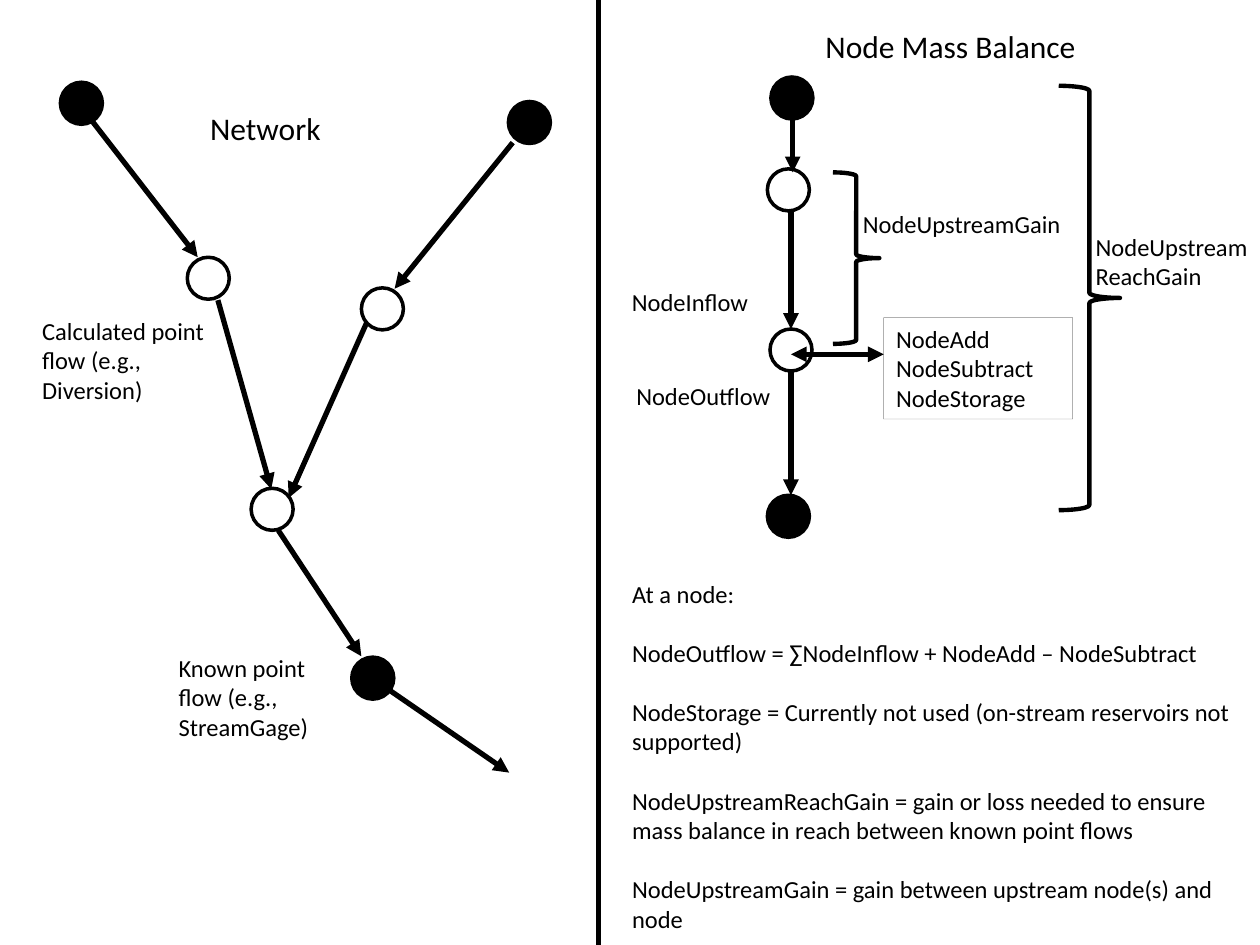
from dataclasses import dataclass

import pptx
import pptx.dml.color
import pptx.enum.shapes
import pptx.enum.text
import pptx.oxml.ns
import pptx.util
from lxml import etree

Pt = pptx.util.Pt
qn = pptx.oxml.ns.qn
MSO_SHAPE = pptx.enum.shapes.MSO_SHAPE


@dataclass(frozen=True)
class Theme:
    ink: pptx.dml.color.RGBColor = pptx.dml.color.RGBColor(0, 0, 0)
    paper: pptx.dml.color.RGBColor = pptx.dml.color.RGBColor(255, 255, 255)
    font: str = "Calibri"
    heading: float = 18
    label: float = 14
    paragraph_gap: float = 17
    node_size: float = 24
    node_line: float = 2
    arrow_line: float = 3
    brace_line: float = 2.5
    divider_line: float = 3.25
    frame_line: float = 0.25


THEME = Theme()


@dataclass(frozen=True)
class Box:
    left: float
    top: float
    width: float
    height: float

    def inner(self, left, top, width, height):
        """Turn a box measured from this box's corner into a page box."""
        return Box(self.left + left, self.top + top, width, height)

    def lengths(self):
        return [Pt(value) for value in (self.left, self.top, self.width, self.height)]


def write(shape, lines, size, gap=0):
    """Fill a shape with plain, left-aligned, unbulleted paragraphs."""
    frame = shape.text_frame
    frame.word_wrap = True
    frame.auto_size = pptx.enum.text.MSO_AUTO_SIZE.NONE
    frame.vertical_anchor = pptx.enum.text.MSO_ANCHOR.TOP
    frame.text = "\n".join(lines)
    for index, para in enumerate(frame.paragraphs):
        para.alignment = pptx.enum.text.PP_ALIGN.LEFT
        para.space_before = Pt(gap if index else 0)
        properties = para._p.get_or_add_pPr()
        properties.set("marL", "0")
        properties.set("indent", "0")
        etree.SubElement(properties, qn("a:buNone"))
        para.font.name = THEME.font
        para.font.size = Pt(size)
        para.font.color.rgb = THEME.ink


def add_label(page, box, lines, size=THEME.label):
    label = page.shapes.add_textbox(*box.lengths())
    write(label, lines, size)
    return label


def fill_placeholder(holder, box, lines, size, gap=0):
    holder.left, holder.top, holder.width, holder.height = box.lengths()
    write(holder, lines, size, gap)


def outline(shape, width):
    shape.line.color.rgb = THEME.ink
    shape.line.width = Pt(width)


def add_node(page, panel, x, y, known):
    """Draw a node centred on x, y; known point flows are solid."""
    size = THEME.node_size
    box = panel.inner(x - size / 2, y - size / 2, size, size)
    node = page.shapes.add_shape(MSO_SHAPE.OVAL, *box.lengths())
    node.shadow.inherit = False
    node.fill.solid()
    node.fill.fore_color.rgb = THEME.ink if known else THEME.paper
    outline(node, THEME.node_line)


def add_line(page, panel, start, end, width=THEME.arrow_line, heads=("tailEnd",)):
    ends = [Pt(value) for x, y in (start, end) for value in (panel.left + x, panel.top + y)]
    line = page.shapes.add_connector(pptx.enum.shapes.MSO_CONNECTOR.STRAIGHT, *ends)
    outline(line, width)
    for head in heads:
        etree.SubElement(line.line._get_or_add_ln(), qn(f"a:{head}"), type="triangle")
    etree.SubElement(line._element.spPr, qn("a:effectLst"))


def add_brace(page, box):
    brace = page.shapes.add_shape(MSO_SHAPE.RIGHT_BRACE, *box.lengths())
    brace.shadow.inherit = False
    brace.fill.background()
    outline(brace, THEME.brace_line)


def draw_network(page, panel):
    arrows = [
        ((52.5, 69), (113, 147)),
        ((124.5, 171.5), (155, 279.5)),
        ((209.5, 184.5), (165, 284.5)),
        ((293, 81.5), (225.5, 165)),
        ((159, 303), (206.5, 375)),
        ((222, 394), (291, 441.5)),
    ]
    nodes = [
        (46.5, 59, True), (302.5, 70, True),
        (119, 159, False), (218.5, 176.5, False), (155.5, 291, False),
        (213, 387.5, True),
    ]
    for start, end in arrows:
        add_line(page, panel, start, end)
    for x, y, known in nodes:
        add_node(page, panel, x, y, known)
    add_label(page, panel.inner(113, 59, 109.5, 29), ["Network"], THEME.heading)
    add_label(page, panel.inner(95, 369.5, 93, 58), ["Known point flow (e.g., StreamGage)"])
    add_label(page, panel.inner(17, 177, 108, 58), ["Calculated point flow (e.g., Diversion)"])


def draw_mass_balance(page, panel):
    reach = 110
    for top, bottom in ((117.5, 188), (212.5, 283)):
        add_line(page, panel, (reach, top), (reach, bottom))
    for x, y, known in ((110.5, 56, True), (108.5, 108.5, False),
                        (110, 200, False), (108.5, 295, True)):
        add_node(page, panel, x, y, known)
    add_line(page, panel, (111, 56), (111, 98.5))

    terms = add_label(page, panel.inner(163, 181.5, 108, 58),
                      ["NodeAdd", "NodeSubtract", "NodeStorage"])
    outline(terms, THEME.frame_line)
    color = terms.line._get_or_add_ln().find(".//" + qn("a:srgbClr"))
    etree.SubElement(color, qn("a:alpha"), val="48000")
    add_line(page, panel, (reach, 202.5), (163, 202.5), heads=("headEnd", "tailEnd"))

    add_brace(page, panel.inner(134, 98.5, 26.5, 98))
    add_brace(page, panel.inner(263, 49, 35, 242.5))
    add_label(page, panel.inner(12, 160.5, 86, 24.5), ["NodeInflow"])
    add_label(page, panel.inner(14.5, 214, 92, 24.5), ["NodeOutflow"])
    add_label(page, panel.inner(144, 116, 133, 24.5), ["NodeUpstreamGain"])
    add_label(page, panel.inner(277, 129, 106.5, 41), ["NodeUpstream", "ReachGain"])

    fill_placeholder(page.shapes.title, panel.inner(122.5, 12, 168, 29),
                     ["Node Mass Balance"], THEME.heading)
    fill_placeholder(page.placeholders[1], panel.inner(12, 327, 358.5, 211), [
        "At a node:",
        "NodeOutflow = ∑NodeInflow + NodeAdd – NodeSubtract",
        "NodeStorage = Currently not used (on-stream reservoirs not supported)",
        "NodeUpstreamReachGain = gain or loss needed to ensure mass balance in reach "
        "between known point flows",
        "NodeUpstreamGain = gain between upstream node(s) and node",
    ], THEME.label, THEME.paragraph_gap)


def main():
    deck = pptx.Presentation()
    width, height, split = 720, 540, 342
    deck.slide_width, deck.slide_height = Pt(width), Pt(height)
    page = deck.slides.add_slide(deck.slide_layouts[1])
    draw_network(page, Box(0, 0, split, height))
    draw_mass_balance(page, Box(split, 0, width - split, height))
    add_line(page, Box(0, 0, width, height), (split, 0), (split, height),
             THEME.divider_line, heads=())
    deck.save("out.pptx")


if __name__ == "__main__":
    main()
